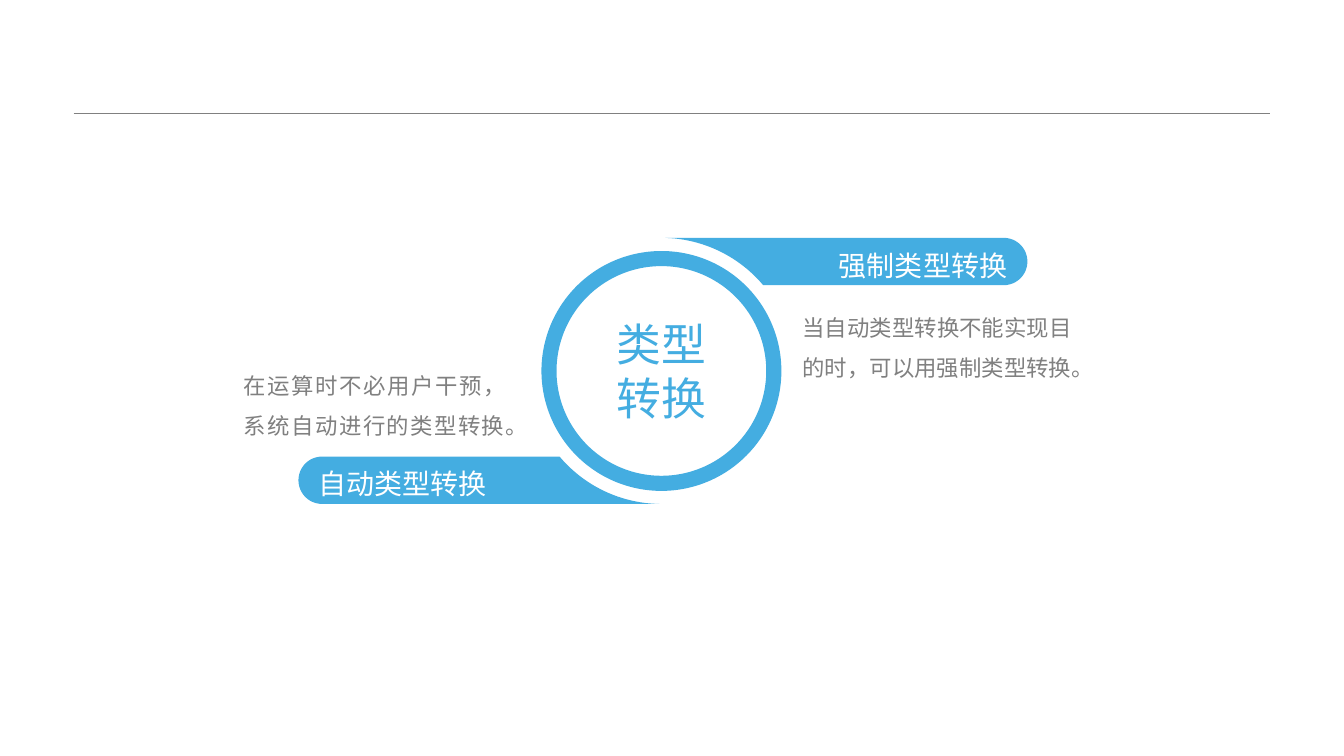
from math import acos, asin, cos, pi, sin

from lxml.etree import SubElement
from pptx import Presentation
from pptx.dml.color import RGBColor
from pptx.enum.shapes import MSO_CONNECTOR, MSO_SHAPE
from pptx.enum.text import MSO_ANCHOR, PP_ALIGN
from pptx.oxml.ns import qn
from pptx.util import Inches, Pt

BLUE, GRAY, WHITE = "44ADE1", "808080", "FFFFFF"
CENTER_X, CENTER_Y = 6.56, 3.68
RING_RADIUS = 1.19
BANNER_RADIUS, BANNER_HEIGHT = 1.32, 0.47


def color(hex_code):
    return RGBColor.from_string(hex_code)


def paint(shape, fill):
    shape.shadow.inherit = False
    shape.fill.solid()
    shape.fill.fore_color.rgb = color(fill)
    shape.line.fill.background()


def write(shape, *lines, size, ink, align=PP_ALIGN.LEFT, anchor=MSO_ANCHOR.MIDDLE,
          spacing=1.0, insets=(0, 0, 0, 0)):
    frame = shape.text_frame
    frame.word_wrap = True
    frame.vertical_anchor = anchor
    (frame.margin_left, frame.margin_top,
     frame.margin_right, frame.margin_bottom) = map(Inches, insets)
    for index, line in enumerate(lines):
        paragraph = frame.add_paragraph() if index else frame.paragraphs[0]
        paragraph.alignment = align
        paragraph.line_spacing = spacing
        run = paragraph.add_run()
        run.text = line
        run.font.name = "Arial"
        run.font.size = Pt(size)
        run.font.color.rgb = color(ink)


def arc(x, y, radius, start, end, steps=24):
    angles = [start + (end - start) * step / steps for step in range(steps + 1)]
    return [(x + radius * cos(angle), y + radius * sin(angle)) for angle in angles]


def add_banner(slide, label, side, tip, reach, align):
    """Draw a banner hugging the ring; side -1 turns it half a circle round the centre."""
    cap = BANNER_HEIGHT / 2
    bottom = BANNER_HEIGHT - BANNER_RADIUS
    outline = arc(reach - cap, cap - BANNER_RADIUS, cap, -pi / 2, pi / 2)
    outline += arc(0, 0, BANNER_RADIUS, asin(bottom / BANNER_RADIUS),
                   -acos(tip / BANNER_RADIUS))
    points = [(Inches(CENTER_X + side * x), Inches(CENTER_Y + side * y))
              for x, y in outline]
    builder = slide.shapes.build_freeform(*points[0])
    builder.add_line_segments(points[1:])
    banner = builder.convert_to_shape()
    paint(banner, BLUE)
    write(banner, label, size=20, ink=WHITE, align=align, spacing=1.2,
          insets=(0.2, 0.05, 0.2, 0.05))


def add_ring(slide, *lines):
    ring = slide.shapes.add_shape(
        MSO_SHAPE.DONUT, Inches(CENTER_X - RING_RADIUS), Inches(CENTER_Y - RING_RADIUS),
        Inches(2 * RING_RADIUS), Inches(2 * RING_RADIUS))
    ring.adjustments[0] = 0.063
    paint(ring, BLUE)
    write(ring, *lines, size=32, ink=BLUE, align=PP_ALIGN.CENTER)


def add_explanation(slide, text, box, anchor, insets):
    explanation = slide.shapes.add_textbox(*map(Inches, box))
    write(explanation, text, size=16, ink=GRAY, align=PP_ALIGN.JUSTIFY,
          anchor=anchor, spacing=1.5, insets=insets)


def add_header_rule(slide):
    rule = slide.shapes.add_connector(MSO_CONNECTOR.STRAIGHT, Inches(0.73), Inches(1.12),
                                      Inches(12.6), Inches(1.12))
    rule.line.color.rgb = color(GRAY)
    rule.line.width = Pt(0.25)
    SubElement(rule.line._get_or_add_ln().getparent(), qn("a:effectLst"))


def main():
    presentation = Presentation()
    presentation.slide_width = Inches(13.33)
    presentation.slide_height = Inches(7.5)
    slide = presentation.slides.add_slide(presentation.slide_layouts[6])

    add_header_rule(slide)
    add_banner(slide, "强制类型转换", side=1, tip=0.04, reach=3.63, align=PP_ALIGN.RIGHT)
    add_banner(slide, "自动类型转换", side=-1, tip=0.02, reach=3.6, align=PP_ALIGN.LEFT)
    add_ring(slide, "类型", "转换")
    add_explanation(slide, "在运算时不必用户干预，系统自动进行的类型转换。",
                    (2.42, 2.18, 2.8, 2.34), MSO_ANCHOR.BOTTOM, (0, 0.16, 0.2, 0.16))
    add_explanation(slide, "当自动类型转换不能实现目的时，可以用强制类型转换。",
                    (7.76, 2.82, 2.87, 1.89), MSO_ANCHOR.TOP, (0.2, 0.16, 0, 0.16))

    presentation.save("out.pptx")


if __name__ == "__main__":
    main()
